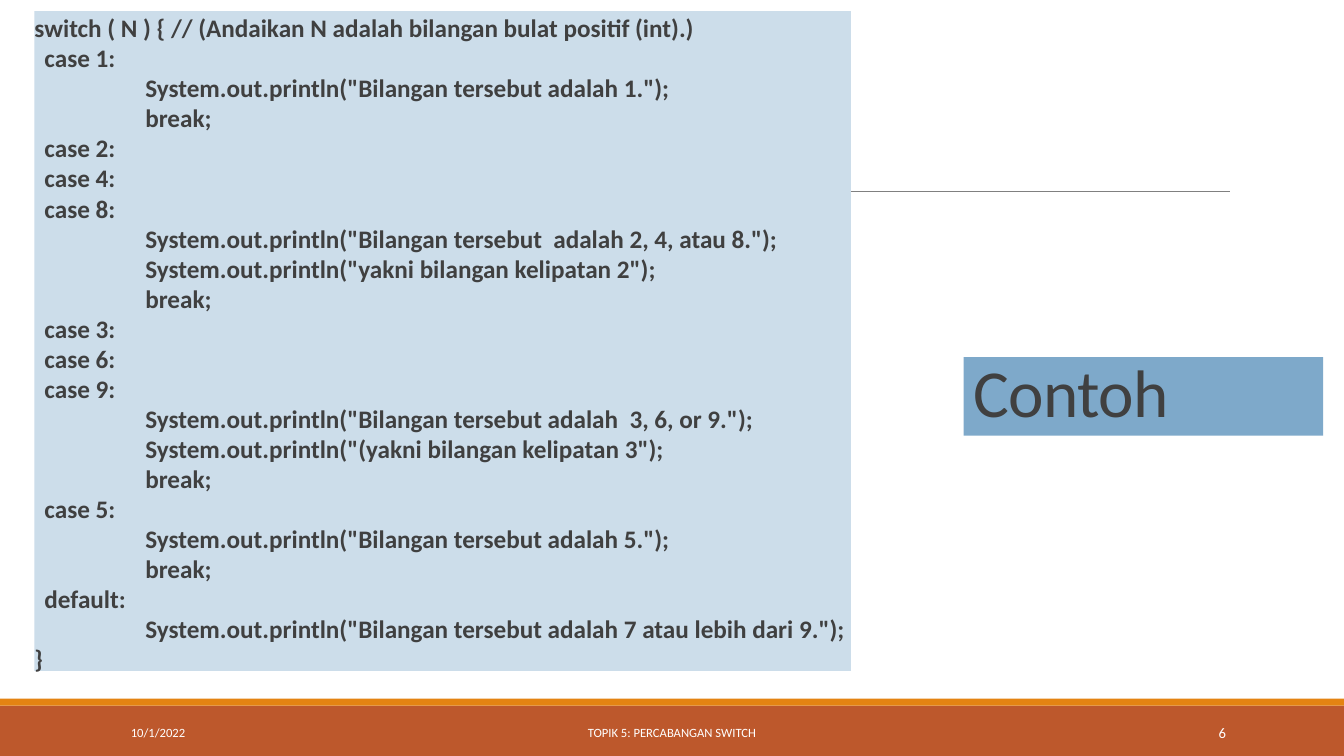
"""Build the slide showing a Java switch example."""
from dataclasses import dataclass

from lxml.etree import SubElement
from pptx import Presentation
from pptx.dml.color import RGBColor as RGB
from pptx.enum.shapes import MSO_CONNECTOR as CONN, MSO_SHAPE as SHAPE
from pptx.enum.text import MSO_ANCHOR as ANCHOR, PP_ALIGN as ALIGN
from pptx.oxml.ns import qn
from pptx.util import Pt

COLORS = {
    "footer": "BD582C",
    "stripe": "E48312",
    "rule": "808080",
    "title": "7EA9CA",
    "code": "CCDDEA",
    "ink": "404040",
    "white": "FFFFFF",
}
W, H = 960, 540

CODE = """switch ( N ) { // (Andaikan N adalah bilangan bulat positif (int).)
>case 1:
>>System.out.println("Bilangan tersebut adalah 1.");
>>break;
>case 2:
>case 4:
>case 8:
>>System.out.println("Bilangan tersebut  adalah 2, 4, atau 8.");
>>System.out.println("yakni bilangan kelipatan 2");
>>break;
>case 3:
>case 6:
>case 9:
>>System.out.println("Bilangan tersebut adalah  3, 6, or 9.");
>>System.out.println("(yakni bilangan kelipatan 3");
>>break;
>case 5:
>>System.out.println("Bilangan tersebut adalah 5.");
>>break;
>default:
>>System.out.println("Bilangan tersebut adalah 7 atau lebih dari 9.");
}""".replace(">", "\t")


@dataclass
class Box:
    left: float
    top: float
    width: float
    height: float
    fill: str = ""


@dataclass
class Footer:
    box: Box
    text: str
    align: ALIGN
    size: float = 9


FOOTER_BAR = Box(0, 504, W, 36, "footer")
STRIPE = Box(0, 499, W, 5, "stripe")
TITLE = Box(688.4, 255, 256.8, 56.2, "title")
CODE_PANEL = Box(24.6, 7.9, 583.2, 471.4, "code")
FOOTERS = [
    Footer(Box(86.4, 508.6, 194.4, 28.8), "10/1/2022", ALIGN.LEFT),
    Footer(Box(290.2, 508.6, 379.4, 28.8), "TOPIK 5: PERCABANGAN SWITCH", ALIGN.CENTER),
    Footer(Box(779.8, 508.6, 103, 28.8), "6", ALIGN.RIGHT, 10.5),
]


def add_box(s, box: Box):
    """Add a filled rectangle, or a text box when there is no fill."""
    frame = [Pt(v) for v in (box.left, box.top, box.width, box.height)]
    if not box.fill:
        return s.shapes.add_textbox(*frame)
    sp = s.shapes.add_shape(SHAPE.RECTANGLE, *frame)
    sp.shadow.inherit = False
    sp.fill.solid()
    sp.fill.fore_color.rgb = RGB.from_string(COLORS[box.fill])
    sp.line.fill.background()
    return sp


def add_rule(s, x1: float, x2: float, y: float) -> None:
    """Add a thin horizontal line."""
    cn = s.shapes.add_connector(CONN.STRAIGHT, Pt(x1), Pt(y), Pt(x2), Pt(y))
    cn.line.color.rgb = RGB.from_string(COLORS["rule"])
    cn.line.width = Pt(0.5)
    SubElement(cn._element.spPr, qn("a:effectLst"))


def write(sp, text: str, *, size: float, color: str = "ink", bold: bool = False,
          align: ALIGN = ALIGN.LEFT, anchor: ANCHOR = ANCHOR.MIDDLE,
          side: float = 7.2, leading: float = 1, after: float = 0,
          hanging: float = 0, tab: float = 72, tracking: float = 0) -> None:
    """Write one paragraph per line of text into a shape."""
    tf = sp.text_frame
    tf.word_wrap = True
    tf.vertical_anchor = anchor
    tf.margin_left = tf.margin_right = Pt(side)
    tf.margin_top = tf.margin_bottom = Pt(3.6)
    for i, line in enumerate(text.splitlines()):
        p = tf.add_paragraph() if i else tf.paragraphs[0]
        p.alignment = align
        p.line_spacing = leading
        p.space_after = Pt(after)
        if hanging:
            pPr = p._p.get_or_add_pPr()
            pPr.set("marL", str(Pt(hanging)))
            pPr.set("indent", str(-Pt(hanging)))
            pPr.set("defTabSz", str(Pt(tab)))
        r = p.add_run()
        r.text = line
        r.font.name = "Calibri"
        r.font.size = Pt(size)
        r.font.bold = bold
        r.font.color.rgb = RGB.from_string(COLORS[color])
        if tracking:
            r._r.get_or_add_rPr().set("spc", str(round(tracking * 100)))


def main() -> None:
    """Draw the slide and save it."""
    prs = Presentation()
    prs.slide_width, prs.slide_height = Pt(W), Pt(H)
    s = prs.slides.add_slide(prs.slide_layouts[6])
    add_box(s, FOOTER_BAR)
    add_box(s, STRIPE)
    add_rule(s, 94.3, 878.6, 136.8)
    write(add_box(s, TITLE), "Contoh", size=48, anchor=ANCHOR.BOTTOM,
          leading=0.85, tracking=-0.5)
    write(add_box(s, CODE_PANEL), CODE, size=18, bold=True, anchor=ANCHOR.TOP,
          side=0, leading=0.9, after=2, hanging=7.2)
    for f in FOOTERS:
        write(add_box(s, f.box), f.text, size=f.size, color="white", align=f.align)
    prs.save("out.pptx")


if __name__ == "__main__":
    main()
